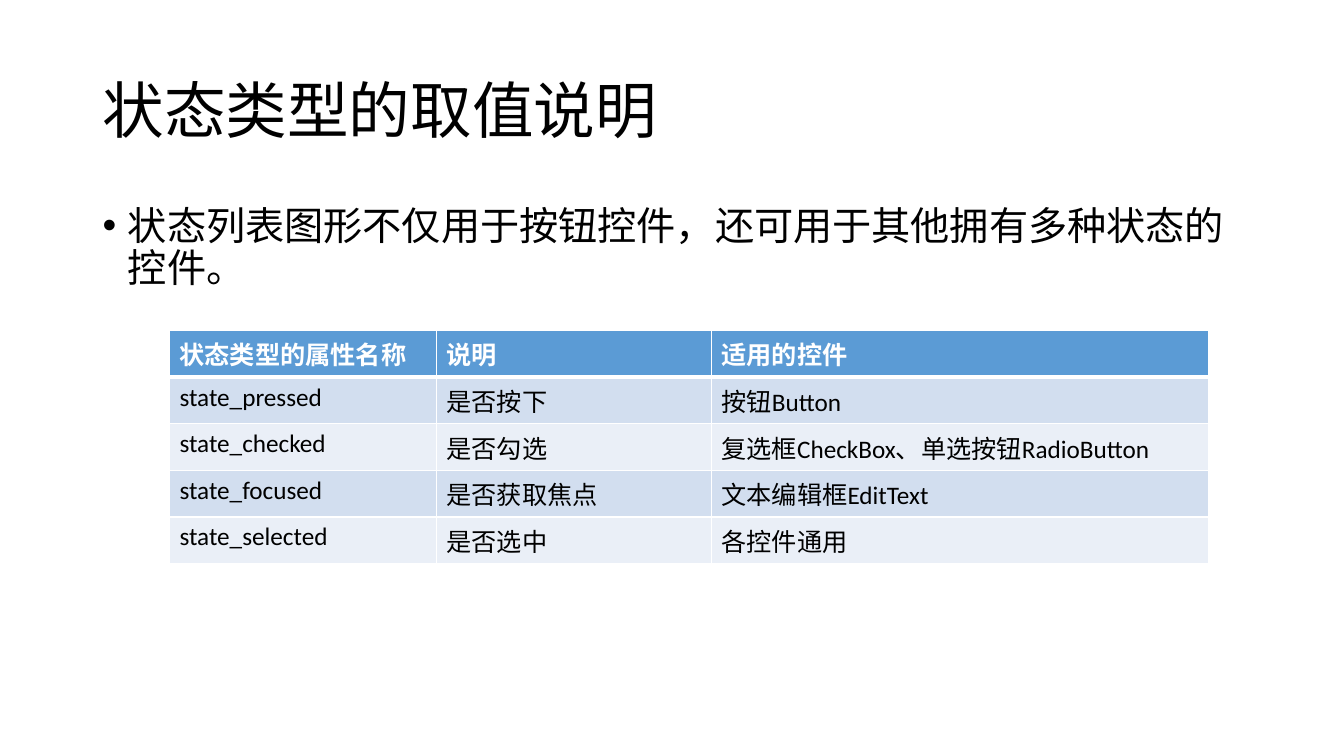
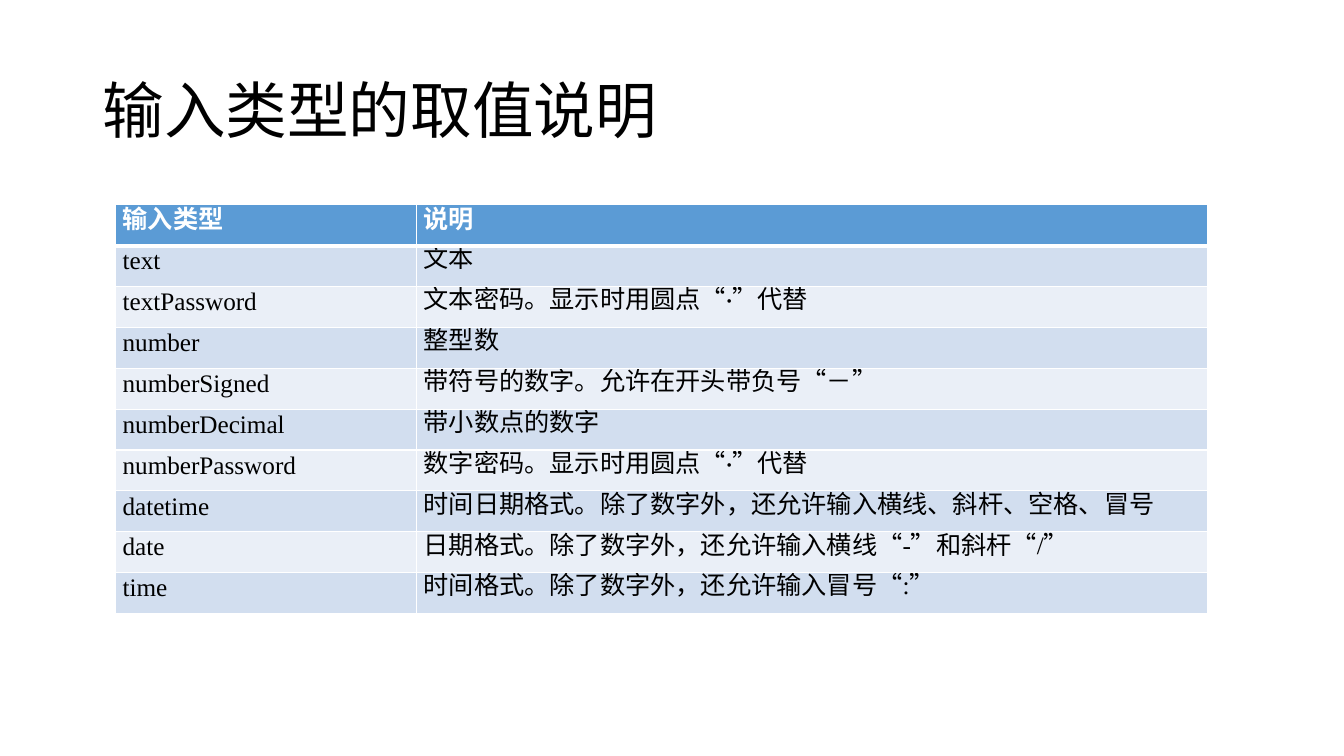
from dataclasses import dataclass

from pptx import Presentation
from pptx.dml.color import RGBColor
from pptx.enum.lang import MSO_LANGUAGE_ID as Lang
from pptx.enum.text import MSO_ANCHOR as Anchor, MSO_AUTO_SIZE as AutoSize, PP_ALIGN as Align
from pptx.oxml.ns import qn
from pptx.util import Cm, Pt
from lxml.etree import SubElement


@dataclass(frozen=True)
class Theme:
    text: str = "000000"
    light: str = "FFFFFF"
    header: str = "5B9BD5"
    bands: tuple = ("D2DEEF", "EAEFF7")
    font: str = "Calibri"
    header_font: str = "Arial"
    term_font: str = "Times New Roman"
    title_size: int = 44
    body_size: int = 28
    table_size: int = 18
    rule: float = 1
    header_rule: float = 3
    line_spacing: float = 0.9


THEME = Theme()
TITLE_AND_CONTENT, TITLE_ONLY = 1, 5

STATES = [
    ("状态类型的属性名称", "说明", "适用的控件"),
    ("state_pressed", "是否按下", "按钮Button"),
    ("state_checked", "是否勾选", "复选框CheckBox、单选按钮RadioButton"),
    ("state_focused", "是否获取焦点", "文本编辑框EditText"),
    ("state_selected", "是否选中", "各控件通用"),
]

# A tuple in a cell is a run of pieces; every second piece takes the accent font.
INPUT_TYPES = [
    ("输入类型", "说明"),
    ("text", "文本"),
    ("textPassword", ("文本密码。显示时用", "圆点“·”", "代替")),
    ("number", "整型数"),
    ("numberSigned", "带符号的数字。允许在开头带负号“－”"),
    ("numberDecimal", "带小数点的数字"),
    ("numberPassword", ("数字密码。显示时用", "圆点“·”", "代替")),
    ("datetime", "时间日期格式。除了数字外，还允许输入横线、斜杆、空格、冒号"),
    ("date", "日期格式。除了数字外，还允许输入横线“-”和斜杆“/”"),
    ("time", "时间格式。除了数字外，还允许输入冒号“:”"),
]


def write(paragraph, text, size, font=THEME.font, accent_font=THEME.font,
          color=THEME.text, bold=False, align=Align.LEFT, spacing=None):
    """Fill a paragraph with a string, or with pieces that alternate between two fonts."""
    paragraph.alignment = align
    paragraph.space_before = Pt(0)
    if spacing is not None:
        paragraph.line_spacing = spacing
    pieces = (text,) if isinstance(text, str) else text
    for index, piece in enumerate(pieces):
        run = paragraph.add_run()
        run.text = piece
        run.font.name = accent_font if index % 2 else font
        run.font.size = Pt(size)
        run.font.bold = bold
        run.font.color.rgb = RGBColor.from_string(color)
        run.font.language_id = Lang.SIMPLIFIED_CHINESE


def place(placeholder, top, height, anchor):
    placeholder.left, placeholder.width = Cm(2.33), Cm(29.21)
    placeholder.top, placeholder.height = Cm(top), Cm(height)
    frame = placeholder.text_frame
    frame.word_wrap = True
    frame.auto_size = AutoSize.NONE
    frame.vertical_anchor = anchor
    return frame.paragraphs[0]


def add_titled_slide(deck, layout, title):
    slide = deck.slides.add_slide(deck.slide_layouts[layout])
    paragraph = place(slide.shapes.title, 1.01, 3.68, Anchor.MIDDLE)
    write(paragraph, title, THEME.title_size, spacing=THEME.line_spacing)
    return slide


def add_bullet(slide, text):
    paragraph = place(slide.placeholders[1], 5.08, 12.09, Anchor.TOP)
    properties = paragraph._p.get_or_add_pPr()
    properties.set("marL", str(Cm(0.64)))
    properties.set("indent", str(Cm(-0.64)))
    SubElement(properties, qn("a:buFont"), typeface="Arial")
    SubElement(properties, qn("a:buChar"), char="•")
    write(paragraph, text, THEME.body_size, spacing=THEME.line_spacing)


def draw_borders(cell, top, bottom):
    """Draw the cell's four borders; must come before its fill."""
    properties = cell._tc.get_or_add_tcPr()
    widths = {"a:lnL": THEME.rule, "a:lnR": THEME.rule, "a:lnT": top, "a:lnB": bottom}
    for side, width in widths.items():
        line = SubElement(properties, qn(side), w=str(Pt(width)))
        fill = SubElement(line, qn("a:solidFill"))
        SubElement(fill, qn("a:srgbClr"), val=THEME.light)


def add_grid(slide, rows, left, top, widths, header_format, body_format,
             row_height=1.03, compact=False):
    """Add a banded table; compact cells are centred vertically with narrow margins."""
    table = slide.shapes.add_table(
        len(rows), len(widths), Cm(left), Cm(top),
        Cm(sum(widths)), Cm(row_height * len(rows))).table
    for column, width in zip(table.columns, widths):
        column.width = Cm(width)
    for r, row in enumerate(rows):
        table.rows[r].height = Cm(row_height)
        is_header = r == 0
        for c, text in enumerate(row):
            cell = table.cell(r, c)
            if compact:
                cell.vertical_anchor = Anchor.MIDDLE
                cell.margin_left = cell.margin_right = Cm(0.19)
                cell.margin_top = cell.margin_bottom = 0
            draw_borders(cell,
                         top=THEME.header_rule if r == 1 else THEME.rule,
                         bottom=THEME.header_rule if is_header else THEME.rule)
            cell.fill.solid()
            cell.fill.fore_color.rgb = RGBColor.from_string(
                THEME.header if is_header else THEME.bands[(r - 1) % 2])
            write(cell.text_frame.paragraphs[0], text, THEME.table_size,
                  color=THEME.light if is_header else THEME.text, bold=is_header,
                  **(header_format if is_header else body_format))


def add_state_slide(deck):
    slide = add_titled_slide(deck, TITLE_AND_CONTENT, "状态类型的取值说明")
    add_bullet(slide, "状态列表图形不仅用于按钮控件，还可用于其他拥有多种状态的控件。")
    add_grid(slide, STATES, 4.27, 8.33, (6.73, 6.93, 12.52), {}, {})


def add_input_slide(deck):
    slide = add_titled_slide(deck, TITLE_ONLY, "输入类型的取值说明")
    add_grid(slide, INPUT_TYPES, 2.9, 5.16, (7.59, 19.94),
             {"font": THEME.header_font, "align": Align.JUSTIFY, "spacing": Pt(15.6)},
             {"font": THEME.term_font, "spacing": Pt(13)}, compact=True)


def main():
    deck = Presentation()
    deck.slide_width, deck.slide_height = Cm(33.87), Cm(19.05)
    add_state_slide(deck)
    add_input_slide(deck)
    deck.save("out.pptx")


if __name__ == "__main__":
    main()
